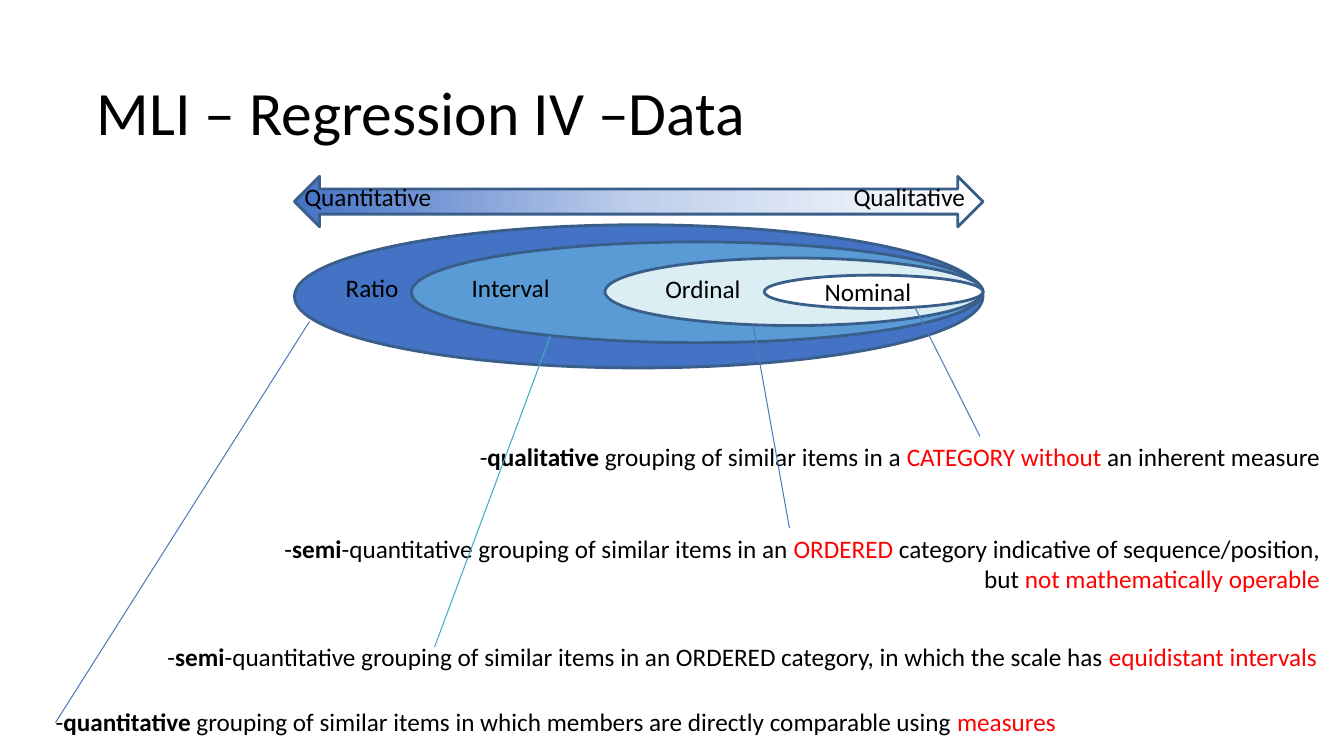
"""Build the slide on data scales, from quantitative to qualitative."""
from copy import deepcopy

from pptx import Presentation
from pptx.dml.color import RGBColor as RGB
from pptx.enum.shapes import MSO_CONNECTOR as Conn, MSO_SHAPE as Shape
from pptx.enum.text import MSO_ANCHOR as Anchor, PP_ALIGN as Align
from pptx.oxml.ns import qn
from pptx.util import Inches, Pt

HUES = {
    "text": "000000", "key": "FF0000", "edge": "395E89",
    "ratio": "4472C4", "interval": "5B9BD5", "ordinal": "DAEEF3", "nominal": "FFFFFF",
    "mid": "BFCFEC", "line": "4A7DBA", "teal": "45A9C4",
}
RIGHT = 9.75


def hue(name):
    return RGB.from_string(HUES[name])


def write(frame, runs, size=18, align=Align.LEFT):
    frame.word_wrap = True
    par = frame.paragraphs[0]
    par.alignment = align
    for text, style in runs:
        run = par.add_run()
        run.text = text
        font = run.font
        font.name, font.size = "Calibri", Pt(size)
        font.bold = style == "bold"
        font.color.rgb = hue("key" if style == "key" else "text")


deck = Presentation()
deck.slide_width, deck.slide_height = Inches(13.33), Inches(7.5)
slide = deck.slides.add_slide(deck.slide_layouts[5])
shapes = slide.shapes

title = shapes.title
title.left, title.top = Inches(0.86), Inches(0.68)
title.width, title.height = Inches(12.23), Inches(0.84)
title.text_frame.vertical_anchor = Anchor.MIDDLE
write(title.text_frame, [("MLI – Regression IV –Data", "")], 44)

scales = [
    ("Ratio", 2.92, 2.23, 1.42, 3.33, 2.65),
    ("Interval", 4.08, 2.4, 1, 4.58, 2.65),
    ("Ordinal", 6, 2.56, 0.67, 6.5, 2.66),
    ("Nominal", 7.58, 2.73, 0.33, 8.08, 2.69),
]
for name, left, top, high, x, y in scales:
    oval = shapes.add_shape(Shape.OVAL, Inches(left), Inches(top),
                            Inches(RIGHT - left), Inches(high))
    oval.shadow.inherit = False
    oval.fill.solid()
    oval.fill.fore_color.rgb = hue(name.lower())
    oval.line.color.rgb = hue("edge")
    oval.line.width = Pt(2)
    label = shapes.add_textbox(Inches(x), Inches(y), Inches(1.25), Inches(0.4))
    write(label.text_frame, [(name, "")])

notes = [
    (4.47, 4.33, 8.72, 0.4, (9.08, 3.06, 9.72, 4.33), "line", [
        ("-", ""), ("qualitative", "bold"), (" grouping of similar items in a ", ""),
        ("CATEGORY without", "key"), (" an inherent measure", "")]),
    (2.48, 5.24, 10.71, 0.71, (7.47, 3.23, 7.83, 5.24), "line", [
        ("-", ""), ("semi", "bold"),
        ("-quantitative grouping of similar items in an ", ""), ("ORDERED", "key"),
        (" category indicative of sequence/position, but ", ""),
        ("not mathematically operable", "key")]),
    (1.3, 6.31, 11.86, 0.4, (5.46, 3.33, 4.31, 6.42), "teal", [
        ("-", ""), ("semi", "bold"),
        ("-quantitative grouping of similar items in an ORDERED category, "
         "in which the scale has ", ""),
        ("equidistant intervals", "key")]),
    (0.14, 6.96, 10.43, 0.4, (3.07, 3.19, 0.55, 7.17), "line", [
        ("-", ""), ("quantitative", "bold"),
        (" grouping of similar items in which members are directly "
         "comparable using ", ""),
        ("measures", "key")]),
]
for left, top, wide, high, ends, tint, runs in notes:
    note = shapes.add_textbox(Inches(left), Inches(top), Inches(wide), Inches(high))
    write(note.text_frame, runs, align=Align.RIGHT)
    link = shapes.add_connector(Conn.STRAIGHT, *[Inches(end) for end in ends])
    link.line.color.rgb = hue(tint)
    link.line.width = Pt(0.75)
    props = link._element.spPr
    props.append(props.makeelement(qn("a:effectLst"), {}))

arrow = shapes.add_shape(Shape.LEFT_RIGHT_ARROW, Inches(2.92), Inches(1.75),
                         Inches(6.83), Inches(0.5))
arrow.shadow.inherit = False
arrow.line.color.rgb = hue("edge")
arrow.line.width = Pt(2)
arrow.fill.gradient()
arrow.fill.gradient_angle = 0
first = arrow._element.spPr.find(".//" + qn("a:gs"))
first.addnext(deepcopy(first))
for stop, tint, spot in zip(arrow.fill.gradient_stops, ("ratio", "mid", "nominal"), (0, 0.5, 1)):
    stop.color.rgb = hue(tint)
    stop.position = spot

for name, left, align in [("Quantitative", 2.92, Align.LEFT),
                          ("Qualitative", 7.67, Align.RIGHT)]:
    pole = shapes.add_textbox(Inches(left), Inches(1.75), Inches(2), Inches(0.4))
    write(pole.text_frame, [(name, "")], align=align)

deck.save("out.pptx")
